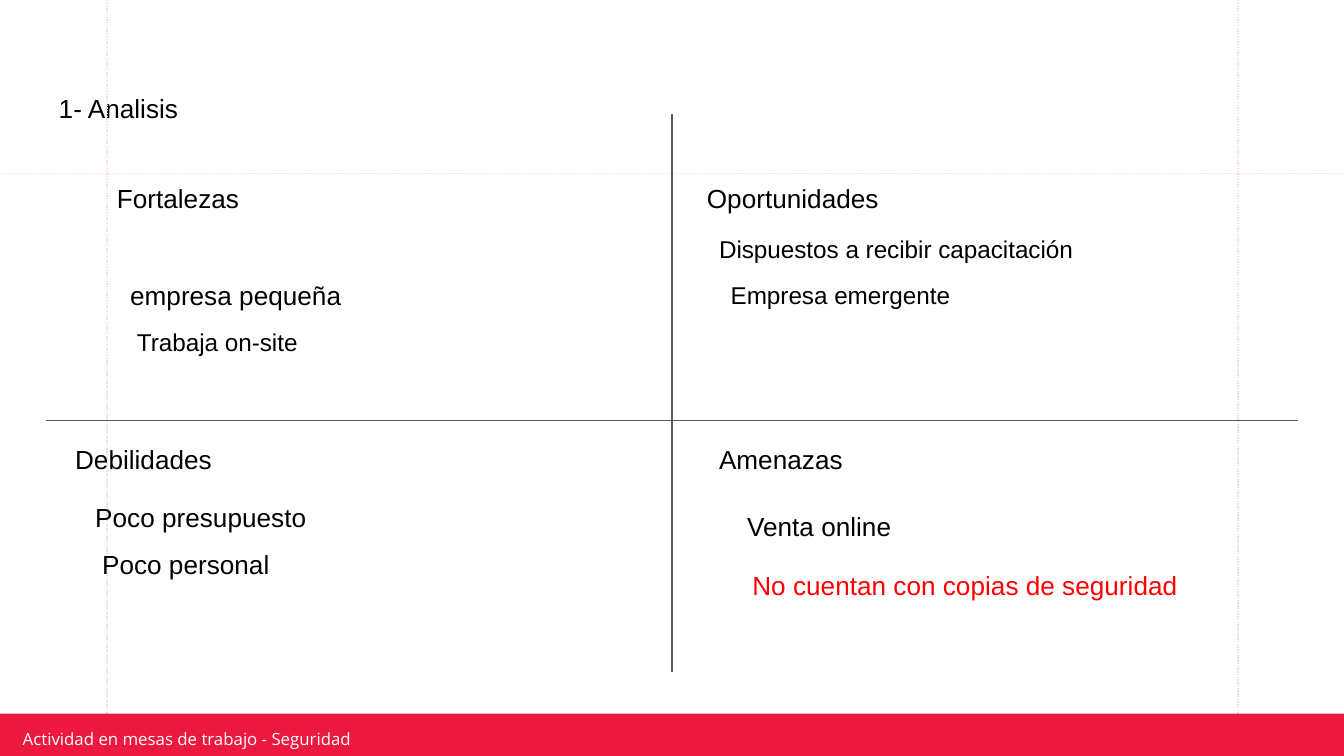
from pptx import Presentation
from pptx.dml.color import RGBColor as RGB
from pptx.enum.dml import MSO_LINE as Dash
from pptx.enum.shapes import MSO_CONNECTOR as Link, MSO_SHAPE as Shape
from pptx.enum.text import MSO_ANCHOR as Anchor, PP_ALIGN as Align
from pptx.oxml.ns import qn
from pptx.util import Cm, Pt
from lxml.etree import SubElement

HUES = {"guide": "FCD8D6", "bar": "EC183F", "axis": "595959",
        "ink": "000000", "alert": "FF0000", "white": "FFFFFF"}
WIDE, HIGH = 25.4, 14.29

QUADS = [
    ((0, 0), [("Fortalezas", 1.1, 1.04, 6.98, 14, "ink"),
              ("empresa pequeña", 1.35, 2.87, 20.4, 14, "ink"),
              ("Trabaja on-site", 1.48, 3.78, 5.18, 13, "ink")]),
    ((1, 0), [("Oportunidades", 0.41, 1.04, 6.98, 14, "ink"),
              ("Dispuestos a recibir capacitación", 0.64, 2.01, 8.69, 13, "ink"),
              ("Empresa emergente", 0.86, 2.89, 10.74, 13, "ink")]),
    ((0, 1), [("Debilidades", 0.31, 0.18, 6.98, 14, "ink"),
              ("Poco presupuesto", 0.69, 1.27, 8.33, 14, "ink"),
              ("Poco personal", 0.82, 2.16, 8.33, 14, "ink")]),
    ((1, 1), [("Amenazas", 0.64, 0.18, 7.44, 14, "ink"),
              ("Venta online", 1.17, 1.45, 9.6, 14, "ink"),
              ("No cuentan con copias de seguridad", 1.27, 2.57, 9.6, 14, "alert")]),
]


def color(name):
    return RGB.from_string(HUES[name])


def rule(slide, start, end, hue, dash=None):
    line = slide.shapes.add_connector(
        Link.STRAIGHT, *[Cm(v) for v in (*start, *end)])
    line.line.color.rgb = color(hue)
    line.line.width = Pt(0.75)
    if dash:
        line.line.dash_style = dash
    SubElement(line._element.spPr, qn("a:effectLst"))


def write(frame, text, size, hue, font="Arial", pad=(0.25, 0.25)):
    frame.text = text
    frame.word_wrap = True
    frame.margin_left = frame.margin_right = Cm(pad[0])
    frame.margin_top = frame.margin_bottom = Cm(pad[1])
    para = frame.paragraphs[0]
    para.alignment = Align.LEFT
    para.font.name = font
    para.font.size = Pt(size)
    para.font.color.rgb = color(hue)


def guides(slide, box):
    left, top, width, height = box
    for x in (left + 2.02, left + width - 2):
        rule(slide, (x, top), (x, top + height), "guide", Dash.ROUND_DOT)
    for y in (top + 3.28, top + height):
        rule(slide, (left, y), (left + width, y), "guide", Dash.ROUND_DOT)


def footer(slide, box):
    left, top, width, height = box
    bar = slide.shapes.add_shape(Shape.RECTANGLE, *[Cm(v) for v in box])
    bar.shadow.inherit = False
    bar.fill.solid()
    bar.fill.fore_color.rgb = color("bar")
    bar.line.fill.background()
    label = slide.shapes.add_textbox(
        Cm(left + 0.3), Cm(top + 0.28), Cm(10.57), Cm(0.38))
    write(label.text_frame, "Actividad en mesas de trabajo - Seguridad",
          9, "white", "Open Sans", (0.13, 0.05))
    label.text_frame.vertical_anchor = Anchor.MIDDLE


def heading(slide, box):
    title = slide.shapes.title
    title.left, title.top, title.width, title.height = [Cm(v) for v in box]
    write(title.text_frame, "1- Analisis", 14, "ink")
    title.text_frame.vertical_anchor = Anchor.MIDDLE


def quad(slide, box, notes):
    left, top = box[:2]
    for text, x, y, width, size, hue in notes:
        note = slide.shapes.add_textbox(
            Cm(left + x), Cm(top + y), Cm(width), Cm(1.1))
        write(note.text_frame, text, size, hue)


def matrix(slide, box):
    left, top, width, height = box
    mid_x, mid_y = left + width / 2, top + 5.79
    rule(slide, (mid_x, top), (mid_x, top + height), "axis")
    rule(slide, (left, mid_y), (left + width, mid_y), "axis")
    for (col, row), notes in QUADS:
        x, y = (left, mid_x)[col], (top, mid_y)[row]
        tall = (mid_y - top, top + height - mid_y)[row]
        quad(slide, (x, y, width / 2, tall), notes)


def main():
    deck = Presentation()
    deck.slide_width, deck.slide_height = Cm(WIDE), Cm(HIGH)
    slide = deck.slides.add_slide(deck.slide_layouts[5])
    guides(slide, (0, 0, WIDE, 13.5))
    footer(slide, (0, 13.49, WIDE, HIGH - 13.49))
    heading(slide, (0.86, 1.24, 23.68, 1.6))
    matrix(slide, (0.86, 2.16, 23.68, 10.54))
    deck.save("out.pptx")


if __name__ == "__main__":
    main()
